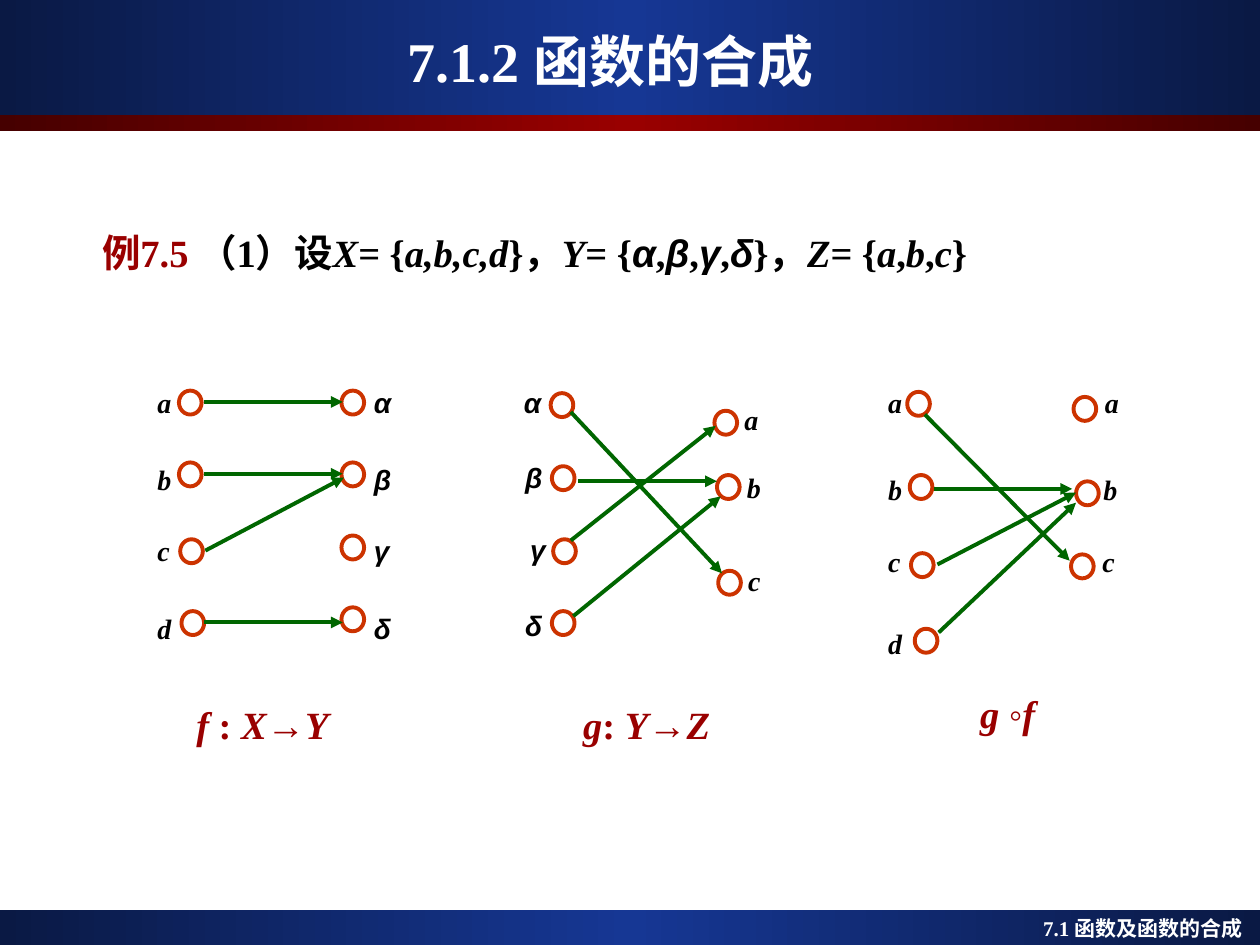
"""Build the slide on composing functions, with three mapping diagrams."""
from copy import deepcopy

from lxml import etree
from pptx import Presentation
from pptx.dml.color import RGBColor
from pptx.enum import shapes, text
from pptx.oxml.ns import qn
from pptx.util import Inches, Pt

COLORS = {"navy": "0A1944", "blue": "163794", "maroon": "460000", "red": "990000",
          "ring": "CC3300", "arrow": "006600", "white": "FFFFFF", "black": "000000"}
SERIF, SANS = "Times New Roman", "Arial"
GREEK = set("αβγδ")
RING_WIDTH, RING_HEIGHT = 0.18, 0.19

TITLE = "7.1.2 函数的合成"
SECTION = "7.1 函数及函数的合成"
EXAMPLE = "例7.5 "
STATEMENT = ["（1）设", "X", "= {", "a,b,c,d", "}，", "Y", "= {", "α", ",", "β", ",",
             "γ", ",", "δ", "}，", "Z", "= {", "a", ",", "b", ",", "c", "}"]
BANDS = [(7.22, 0.28, "navy", "blue"), (0, 0.91, "navy", "blue"),
         (0.91, 0.13, "maroon", "red")]

# Each node: label, label box corner, ring corner. Each arrow: start, end.
MAPPINGS = [
    {"caption": ["f ", ": ", "X→Y"], "caption_at": (1.46, 5.64, 1.57, 0.32),
     "nodes": [("a", (1.15, 2.96), (1.42, 3.1)), ("b", (1.15, 3.57), (1.42, 3.67)),
               ("c", (1.15, 4.13), (1.43, 4.28)), ("d", (1.15, 4.75), (1.44, 4.85)),
               ("α", (2.87, 2.96), (2.71, 3.1)), ("β", (2.87, 3.57), (2.71, 3.67)),
               ("γ", (2.87, 4.13), (2.71, 4.25)), ("δ", (2.87, 4.75), (2.71, 4.82))],
     "arrows": [((1.62, 3.19), (2.72, 3.19)), ((1.62, 3.76), (2.72, 3.76)),
                ((1.63, 4.37), (2.73, 3.79)), ((1.62, 4.94), (2.72, 4.94))]},
    {"caption": ["g", ": ", "Y→Z"], "caption_at": (4.53, 5.64, 1.42, 0.32),
     "nodes": [("α", (4.06, 2.96), (4.37, 3.12)), ("β", (4.07, 3.55), (4.38, 3.7)),
               ("γ", (4.11, 4.12), (4.39, 4.28)), ("δ", (4.07, 4.73), (4.38, 4.85)),
               ("a", (5.81, 3.09), (5.67, 3.26)), ("b", (5.83, 3.63), (5.69, 3.77)),
               ("c", (5.84, 4.37), (5.7, 4.53))],
     "arrows": [((4.59, 3.82), (5.69, 3.82)), ((4.53, 4.29), (5.68, 3.38)),
                ((4.55, 4.89), (5.72, 3.94)), ((4.53, 3.27), (5.73, 4.55))]},
    {"caption": ["g ◦f"], "caption_at": (7.68, 5.56, 1.02, 0.32),
     "nodes": [("a", (6.95, 2.96), (7.2, 3.11)), ("b", (6.95, 3.65), (7.22, 3.77)),
               ("c", (6.95, 4.22), (7.23, 4.39)), ("d", (6.95, 4.87), (7.26, 4.99)),
               ("a", (8.67, 2.96), (8.52, 3.15)), ("b", (8.66, 3.65), (8.54, 3.82)),
               ("c", (8.65, 4.22), (8.5, 4.4))],
     "arrows": [((7.41, 3.88), (8.51, 3.88)), ((7.44, 4.48), (8.54, 3.91)),
                ((7.34, 3.29), (8.49, 4.45)), ((7.45, 5.02), (8.54, 3.99))]},
]


def rgb(name):
    return RGBColor.from_string(COLORS[name])


def place(shape, *box):
    shape.left, shape.top, shape.width, shape.height = map(Inches, box)


def write(paragraph, pieces, size, color, italic=False):
    for piece in pieces:
        run = paragraph.add_run()
        run.text = piece
        run.font.name = SANS if GREEK & set(piece) else SERIF
        run.font.size, run.font.bold, run.font.italic = Pt(size), True, italic
        run.font.color.rgb = rgb(color)
        italic = not italic


def add_text(slide, box, pieces, size, color, italic=True, spacing=1.0):
    frame = slide.shapes.add_textbox(*map(Inches, box)).text_frame
    frame.word_wrap = True
    paragraph = frame.paragraphs[0]
    paragraph.line_spacing = spacing
    write(paragraph, pieces, size, color, italic)
    return paragraph


def add_band(slide, position, top, height, edge, middle):
    band = slide.shapes.add_shape(shapes.MSO_SHAPE.RECTANGLE, 0, Inches(top),
                                  Inches(10), Inches(height))
    band.shadow.inherit = False
    band.line.fill.background()
    band.fill.gradient()
    band.fill.gradient_angle = 0
    stops = band._element.spPr.find(".//" + qn("a:gsLst"))
    stops.insert(1, deepcopy(stops[0]))
    for stop, color, at in zip(band.fill.gradient_stops, (edge, middle, edge), (0, 0.5, 1)):
        stop.color.rgb, stop.position = rgb(color), at
    slide.shapes._spTree.insert(2 + position, band._element)


def add_ring(slide, corner):
    ring = slide.shapes.add_shape(shapes.MSO_SHAPE.OVAL, *map(
        Inches, (*corner, RING_WIDTH, RING_HEIGHT)))
    ring.shadow.inherit = False
    ring.fill.background()
    ring.line.color.rgb, ring.line.width = rgb("ring"), Pt(2.25)


def add_arrow(slide, start, end):
    arrow = slide.shapes.add_connector(shapes.MSO_CONNECTOR.STRAIGHT,
                                       *map(Inches, start + end))
    arrow.line.color.rgb, arrow.line.width = rgb("arrow"), Pt(2.25)
    etree.SubElement(arrow.line._get_or_add_ln(), qn("a:tailEnd"), type="triangle")
    etree.SubElement(arrow._element.spPr, qn("a:effectLst"))


def add_mapping(slide, mapping):
    for label, label_at, ring_at in mapping["nodes"]:
        add_text(slide, (*label_at, 0.4, 0.45), [label], 16, "black", spacing=1.2)
        add_ring(slide, ring_at)
    for start, end in mapping["arrows"]:
        add_arrow(slide, start, end)
    add_text(slide, mapping["caption_at"], mapping["caption"], 22, "red", spacing=0.6)


def main():
    deck = Presentation()
    deck.slide_width, deck.slide_height = Inches(10), Inches(7.5)
    slide = deck.slides.add_slide(deck.slide_layouts[1])
    title, statement = slide.placeholders

    place(title, 0.22, 0.17, 9.25, 0.62)
    heading = title.text_frame.paragraphs[0]
    heading.alignment = text.PP_ALIGN.CENTER
    write(heading, [TITLE], 32, "white")

    place(statement, 0.71, 1.62, 8.15, 0.71)
    statement.text_frame.auto_size = text.MSO_AUTO_SIZE.NONE
    line = statement.text_frame.paragraphs[0]
    line.line_spacing, line.space_before = 1.4, Pt(0)
    properties = line._p.get_or_add_pPr()
    properties.set("marL", "0")
    properties.set("indent", "0")
    etree.SubElement(properties, qn("a:buNone"))
    write(line, [EXAMPLE], 22, "red")
    write(line, STATEMENT, 22, "black")

    for position, band in enumerate(BANDS):
        add_band(slide, position, *band)
    footer = add_text(slide, (7.44, 7.22, 2.52, 0.3), [SECTION], 12, "white", italic=False)
    footer.alignment = text.PP_ALIGN.RIGHT
    for mapping in MAPPINGS:
        add_mapping(slide, mapping)
    deck.save("out.pptx")


if __name__ == "__main__":
    main()
